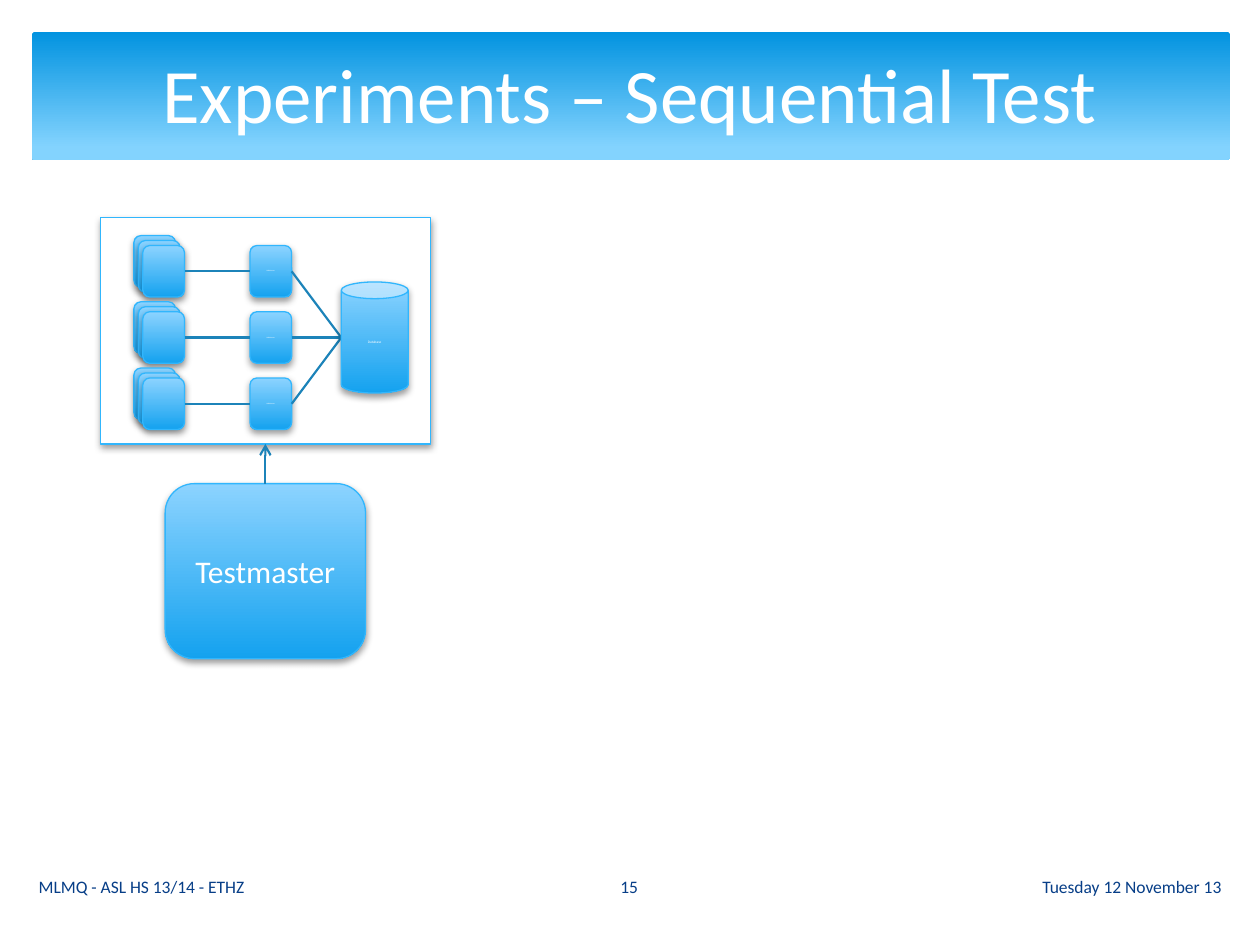
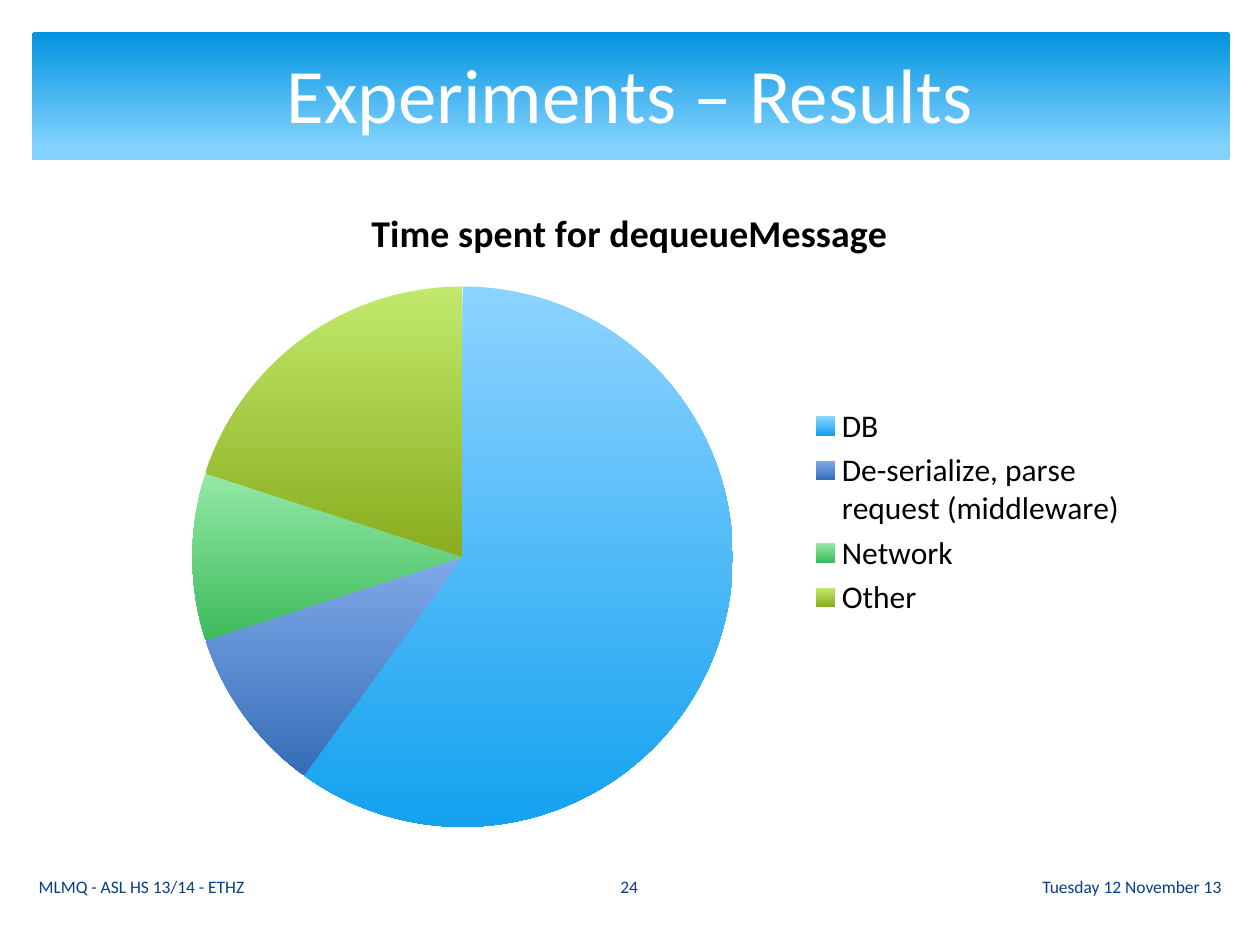
from lxml.etree import SubElement
from pptx import Presentation
from pptx.chart.data import CategoryChartData
from pptx.dml.color import RGBColor
from pptx.enum.chart import XL_CHART_TYPE, XL_LEGEND_POSITION
from pptx.enum.shapes import MSO_CONNECTOR, MSO_SHAPE
from pptx.enum.text import MSO_ANCHOR, PP_ALIGN
from pptx.oxml.ns import qn
from pptx.util import Cm, Pt

FONT = "Calibri"
WHITE, BLACK, NAVY = "FFFFFF", "000000", "073E87"
OUTLINE, LINK = "31B6FD", "1C83B9"
BAND_GRADIENT = ("0293E0", "83D3FE")
NODE_GRADIENT = ("8CD3FF", "14A2EF")
SLICES = [
    ("DB", 60, NODE_GRADIENT),
    ("De-serialize, parse request (middleware)", 10, ("7FA9E9", "356EB7")),
    ("Network", 10, ("93E9A6", "3EBB5C")),
    ("Other", 20, ("C2E96C", "89AD1E")),
]


def rgb(value):
    return RGBColor.from_string(value)


def cm(*lengths):
    return [Cm(length) for length in lengths]


def fill_gradient(fill, colors, end=1.0):
    """Fill from top to bottom, reaching the second colour at `end`."""
    fill.gradient()
    fill.gradient_angle = 270
    for stop, color, position in zip(fill.gradient_stops, colors, (0, end)):
        stop.color.rgb = rgb(color)
        stop.position = position


def style_font(font, size, color, bold=False):
    font.name = FONT
    font.size = Pt(size)
    font.bold = bold
    font.color.rgb = rgb(color)


def write_text(sp, text, size, color, align=PP_ALIGN.CENTER):
    tf = sp.text_frame
    tf.word_wrap = True
    tf.vertical_anchor = MSO_ANCHOR.MIDDLE
    tf.text = text
    p = tf.paragraphs[0]
    p.alignment = align
    style_font(p.runs[0].font, size, color)


def add_label(s, box, text, size, color, align=PP_ALIGN.CENTER):
    write_text(s.shapes.add_textbox(*cm(*box)), text, size, color, align)


def add_shadow(sp):
    effects = sp.element.spPr.find(qn("a:effectLst"))
    shadow = SubElement(effects, qn("a:outerShdw"), blurRad=str(Pt(4)),
                        dist=str(Pt(2)), dir="5400000", rotWithShape="0")
    color = SubElement(shadow, qn("a:srgbClr"), val=BLACK)
    SubElement(color, qn("a:alpha"), val="38000")


def add_node(s, kind, box, text="", size=1, plain=False):
    """Add an outlined, shadowed shape; a plain one is white."""
    sp = s.shapes.add_shape(kind, *cm(*box))
    sp.shadow.inherit = False
    add_shadow(sp)
    if plain:
        sp.fill.solid()
        sp.fill.fore_color.rgb = rgb(WHITE)
    else:
        fill_gradient(sp.fill, NODE_GRADIENT)
    sp.line.color.rgb = rgb(OUTLINE)
    sp.line.width = Pt(0.75)
    if text:
        write_text(sp, text, size, WHITE)


def add_link(s, start, end, arrow=False):
    link = s.shapes.add_connector(MSO_CONNECTOR.STRAIGHT, *cm(*start, *end))
    link.line.color.rgb = rgb(LINK)
    link.line.width = Pt(1.25)
    if arrow:
        SubElement(link.line._get_or_add_ln(), qn("a:tailEnd"), type="arrow")
    SubElement(link.element.spPr, qn("a:effectLst"))


def add_base_slide(prs, title, number):
    """Add a slide with the title band and the footer."""
    s = prs.slides.add_slide(prs.slide_layouts[6])
    band = s.shapes.add_shape(MSO_SHAPE.ROUNDED_RECTANGLE,
                              *cm(0.64, 0.64, 24.16, 2.59))
    band.adjustments[0] = 0.03
    band.shadow.inherit = False
    band.line.fill.background()
    fill_gradient(band.fill, BAND_GRADIENT, 0.9)
    add_label(s, (1.27, 0.13, 22.86, 3.48), title, 44, WHITE)
    for left, width, text, align in (
        (0.53, 10.52, "MLMQ - ASL HS 13/14 - ETHZ", PP_ALIGN.LEFT),
        (11.07, 3.23, str(number), PP_ALIGN.CENTER),
        (14.35, 10.52, "Tuesday 12 November 13", PP_ALIGN.RIGHT),
    ):
        add_label(s, (left, 17.37, width, 1.02), text, 10, NAVY, align)
    return s


def add_system(s):
    """Draw three rows of clients and middleware joined to a database."""
    rounded = MSO_SHAPE.ROUNDED_RECTANGLE
    width, height = 0.84, 1.04
    client_x, middleware_x, database_x = 2.88, 5.04, 6.88
    top, row_pitch = 4.95, 1.335
    center_y = top + row_pitch + height / 2

    add_node(s, MSO_SHAPE.RECTANGLE, (2.03, 4.39, 6.65, 4.56), plain=True)
    for row in range(3):
        y = top + row * row_pitch
        for depth in (2, 1, 0):
            add_node(s, rounded, (client_x - 0.09 * depth, y - 0.1 * depth,
                                  width, height))
        add_node(s, rounded, (middleware_x, y, width, height), "Middleware")
        middle = y + height / 2
        add_link(s, (client_x + width, middle), (middleware_x, middle))
        add_link(s, (middleware_x + width, middle), (database_x, center_y))
    add_node(s, MSO_SHAPE.CAN, (database_x, center_y - 1.12, 1.35, 2.24),
             "Database", 2)


def add_testmaster(s):
    add_node(s, MSO_SHAPE.ROUNDED_RECTANGLE, (3.33, 9.75, 4.04, 3.53),
             "Testmaster", 18)
    add_link(s, (5.35, 9.75), (5.35, 8.95), arrow=True)


def add_time_pie(s):
    data = CategoryChartData()
    data.categories = [name for name, _, _ in SLICES]
    data.add_series("Series 1", [value for _, value, _ in SLICES])
    chart = s.shapes.add_chart(XL_CHART_TYPE.PIE,
                               *cm(2.41, 3.61, 20.57, 13.41), data).chart
    style_font(chart.font, 18, BLACK)
    chart.has_title = True
    tf = chart.chart_title.text_frame
    tf.text = "Time spent for dequeueMessage"
    style_font(tf.paragraphs[0].runs[0].font, 21.6, BLACK, bold=True)
    chart.chart_title.include_in_layout = False
    chart.has_legend = True
    chart.legend.position = XL_LEGEND_POSITION.RIGHT
    chart.legend.include_in_layout = False
    plot = chart.plots[0]
    plot.vary_by_categories = True
    for index, (_, _, colors) in enumerate(SLICES):
        point_format = plot.series[0].points[index].format
        fill_gradient(point_format.fill, colors)
        point_format.line.fill.background()


def main():
    prs = Presentation()
    prs.slide_width, prs.slide_height = cm(25.4, 19.05)
    s = add_base_slide(prs, "Experiments – Sequential Test", 15)
    add_system(s)
    add_testmaster(s)
    s = add_base_slide(prs, "Experiments – Results", 24)
    add_time_pie(s)
    prs.save("out.pptx")


if __name__ == "__main__":
    main()
